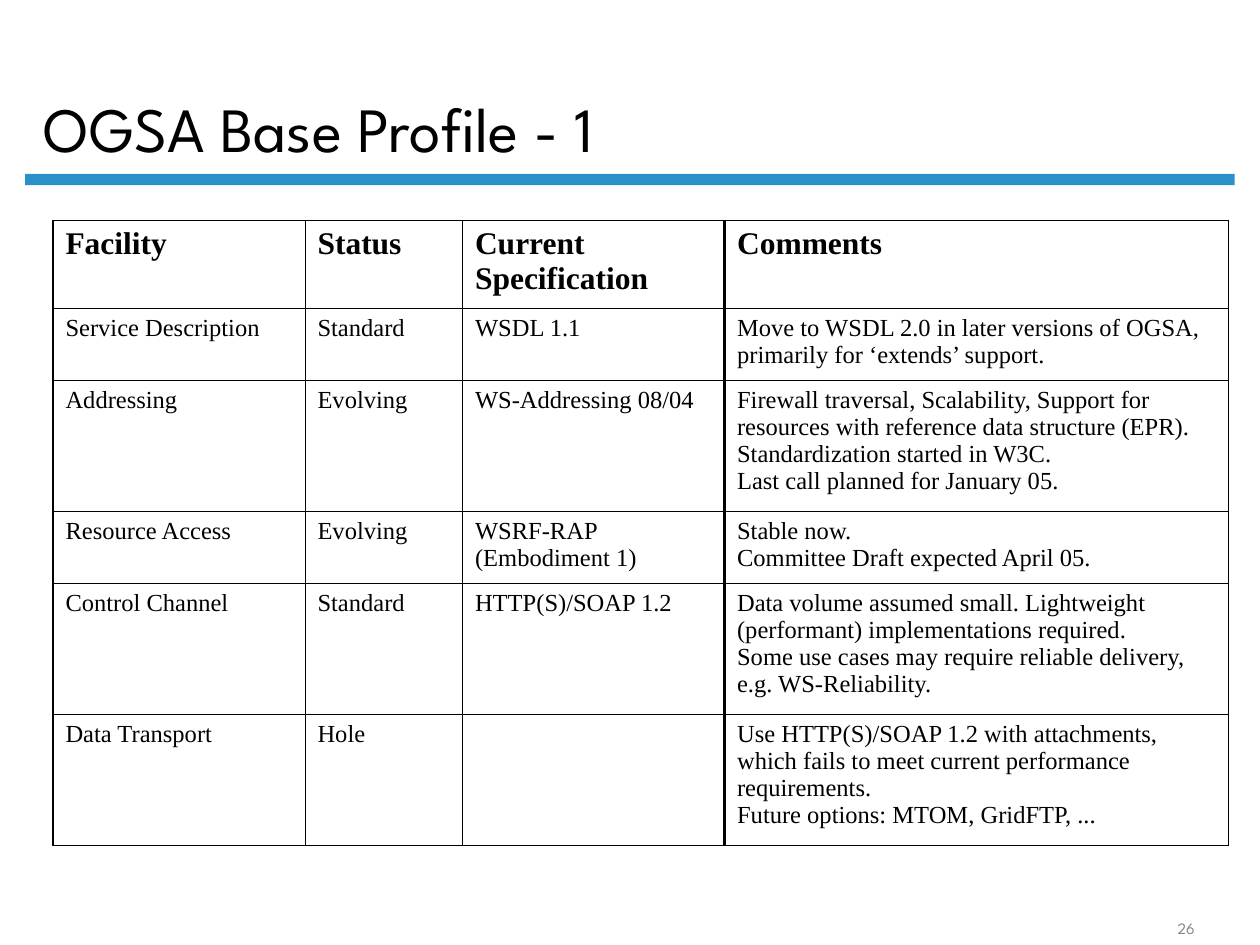
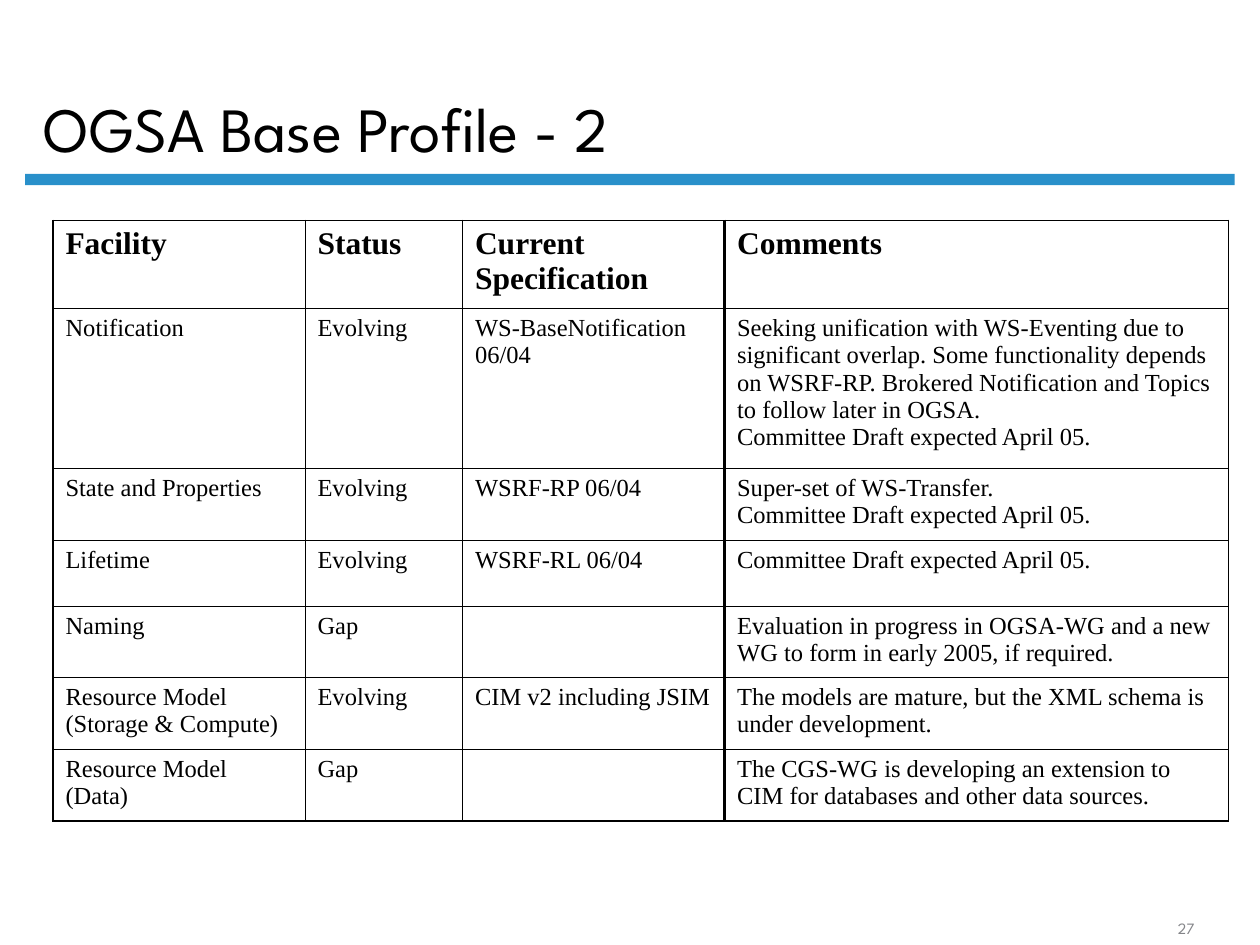
from dataclasses import dataclass

import lxml.etree
import pptx
import pptx.dml.color
import pptx.enum.shapes
import pptx.enum.text
import pptx.oxml.ns
import pptx.slide
import pptx.table
import pptx.text.text
import pptx.util

Inches = pptx.util.Inches
Align = pptx.enum.text.PP_ALIGN

BLACK = pptx.dml.color.RGBColor(0x00, 0x00, 0x00)
WHITE = pptx.dml.color.RGBColor(0xFF, 0xFF, 0xFF)
BLUE = pptx.dml.color.RGBColor(0x29, 0x90, 0xCA)
GRAY = pptx.dml.color.RGBColor(0x84, 0x85, 0x89)

HEADING_FONT = "League Spartan"
TABLE_FONT = "Times New Roman"

HEADER = ("Facility", "Status", "Current Specification", "Comments")
HEADER_HEIGHT = 0.7
COLUMN_WIDTHS = (2, 1.25, 2.08, 4)
INNER_LINE = 0.45
OUTER_LINE = 1.08
COMMENTS_LINE = 1.47
VERTICAL_LINES = (OUTER_LINE, INNER_LINE, INNER_LINE, COMMENTS_LINE, OUTER_LINE)


@dataclass(frozen=True)
class Facility:
    height: float
    name: str
    status: str
    specification: str
    comments: str

    def texts(self) -> tuple[str, ...]:
        return self.name, self.status, self.specification, self.comments


@dataclass(frozen=True)
class ProfilePage:
    title: str
    number: int
    facilities: tuple[Facility, ...]


PAGES = (
    ProfilePage("OGSA Base Profile - 1", 26, (
        Facility(0.57, "Service Description", "Standard", "WSDL 1.1",
                 "Move to WSDL 2.0 in later versions of OGSA, primarily for ‘extends’ support."),
        Facility(1.04, "Addressing", "Evolving", "WS-Addressing 08/04",
                 "Firewall traversal, Scalability, Support for resources with reference data "
                 "structure (EPR). Standardization started in W3C.\n"
                 "Last call planned for January 05."),
        Facility(0.57, "Resource Access", "Evolving", "WSRF-RAP (Embodiment 1)",
                 "Stable now.\nCommittee Draft expected April 05."),
        Facility(1.04, "Control Channel", "Standard", "HTTP(S)/SOAP 1.2",
                 "Data volume assumed small. Lightweight (performant) implementations required.\n"
                 "Some use cases may require reliable delivery, e.g. WS-Reliability."),
        Facility(1.04, "Data Transport", "Hole", "",
                 "Use HTTP(S)/SOAP 1.2 with attachments, which fails to meet current "
                 "performance requirements.\nFuture options: MTOM, GridFTP, ..."),
    )),
    ProfilePage("OGSA Base Profile - 2", 27, (
        Facility(1.27, "Notification", "Evolving", "WS-BaseNotification 06/04",
                 "Seeking unification with WS-Eventing due to significant overlap. Some "
                 "functionality depends on WSRF-RP. Brokered Notification and Topics to follow "
                 "later in OGSA.\nCommittee Draft expected April 05."),
        Facility(0.57, "State and Properties", "Evolving", "WSRF-RP 06/04",
                 "Super-set of WS-Transfer.\nCommittee Draft expected April 05."),
        Facility(0.52, "Lifetime", "Evolving", "WSRF-RL 06/04",
                 "Committee Draft expected April 05."),
        Facility(0.57, "Naming", "Gap", "",
                 "Evaluation in progress in OGSA-WG and a new WG to form in early 2005, "
                 "if required."),
        Facility(0.57, "Resource Model (Storage & Compute)", "Evolving", "CIM v2 including JSIM",
                 "The models are mature, but the XML schema is under development."),
        Facility(0.57, "Resource Model (Data)", "Gap", "",
                 "The CGS-WG is developing an extension to CIM for databases and other "
                 "data sources."),
    )),
)


def write_text(
    frame: pptx.text.text.TextFrame,
    text: str,
    *,
    size: float,
    font: str,
    color: pptx.dml.color.RGBColor = BLACK,
    bold: bool = False,
    align: Align = Align.LEFT,
    line_spacing: float = 1.0,
) -> None:
    """Fill a frame with one formatted paragraph for each line of text."""
    frame.word_wrap = True
    frame.text = text
    for paragraph in frame.paragraphs:
        paragraph.alignment = align
        paragraph.line_spacing = line_spacing
        paragraph.font.size = pptx.util.Pt(size)
        paragraph.font.name = font
        paragraph.font.bold = bold
        paragraph.font.color.rgb = color


def add_bottom_text_box(
    slide: pptx.slide.Slide, left: float, top: float, width: float, height: float
) -> pptx.text.text.TextFrame:
    box = slide.shapes.add_textbox(Inches(left), Inches(top), Inches(width), Inches(height))
    box.text_frame.vertical_anchor = pptx.enum.text.MSO_ANCHOR.BOTTOM
    return box.text_frame


def add_title_band(slide: pptx.slide.Slide) -> None:
    band = slide.shapes.add_shape(
        pptx.enum.shapes.MSO_SHAPE.RECTANGLE,
        Inches(0.2), Inches(1.38), Inches(9.6), Inches(0.09),
    )
    band.shadow.inherit = False
    band.fill.solid()
    band.fill.fore_color.rgb = BLUE
    band.line.fill.background()


def set_borders(cell: pptx.table._Cell, **widths: float) -> None:
    """Draw black borders; the keywords are the sides L, R, T, B in schema order."""
    properties = cell._tc.get_or_add_tcPr()
    qualified = pptx.oxml.ns.qn
    for side, width in widths.items():
        line = lxml.etree.SubElement(
            properties, qualified(f"a:ln{side}"), w=str(int(pptx.util.Pt(width)))
        )
        fill = lxml.etree.SubElement(line, qualified("a:solidFill"))
        lxml.etree.SubElement(fill, qualified("a:srgbClr"), val=str(BLACK))


def add_facility_table(slide: pptx.slide.Slide, facilities: tuple[Facility, ...]) -> None:
    rows = [HEADER] + [facility.texts() for facility in facilities]
    heights = [HEADER_HEIGHT] + [facility.height for facility in facilities]
    horizontal_lines = [OUTER_LINE] + [INNER_LINE] * len(facilities) + [OUTER_LINE]
    table = slide.shapes.add_table(
        len(rows), len(HEADER), Inches(0.42), Inches(1.75),
        Inches(sum(COLUMN_WIDTHS)), Inches(sum(heights)),
    ).table
    table.first_row = False
    table.horz_banding = False
    for column, width in zip(table.columns, COLUMN_WIDTHS):
        column.width = Inches(width)
    for row_index, texts in enumerate(rows):
        table.rows[row_index].height = Inches(heights[row_index])
        is_header = row_index == 0
        for column_index, text in enumerate(texts):
            cell = table.cell(row_index, column_index)
            write_text(cell.text_frame, text, size=18 if is_header else 14,
                       font=TABLE_FONT, bold=is_header)
            set_borders(
                cell,
                L=VERTICAL_LINES[column_index],
                R=VERTICAL_LINES[column_index + 1],
                T=horizontal_lines[row_index],
                B=horizontal_lines[row_index + 1],
            )
            cell.fill.background()


def add_profile_slide(presentation, page: ProfilePage) -> None:
    slide = presentation.slides.add_slide(presentation.slide_layouts[6])
    slide.background.fill.solid()
    slide.background.fill.fore_color.rgb = WHITE
    add_title_band(slide)
    write_text(add_bottom_text_box(slide, 0.25, 0.12, 8.56, 1.25), page.title,
               size=36, font=HEADING_FONT, line_spacing=0.9)
    add_facility_table(slide, page.facilities)
    write_text(add_bottom_text_box(slide, 9, 7.25, 0.83, 0.24), str(page.number),
               size=9, font=HEADING_FONT, color=GRAY, align=Align.CENTER)


def main() -> None:
    presentation = pptx.Presentation()
    presentation.slide_width = Inches(10)
    presentation.slide_height = Inches(7.5)
    for page in PAGES:
        add_profile_slide(presentation, page)
    presentation.save("out.pptx")


if __name__ == "__main__":
    main()
